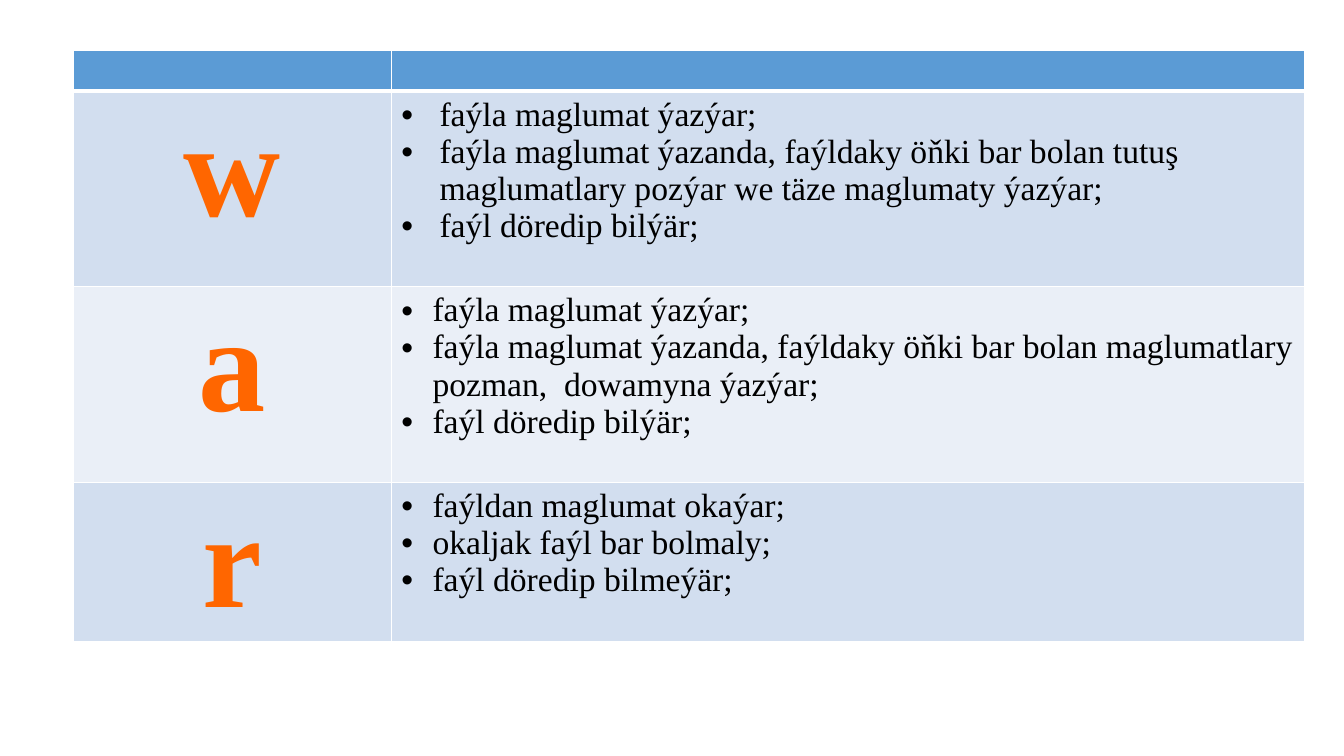
from lxml.etree import SubElement
from pptx import Presentation
from pptx.dml.color import RGBColor as Rgb
from pptx.enum.text import PP_ALIGN as Align
from pptx.oxml.ns import qn
from pptx.util import Inches, Pt

COLORS = {
    "header": "5B9BD5",
    "band_dark": "D2DEEF",
    "band_light": "EAEFF7",
    "border": "FFFFFF",
    "mode": "FF6600",
    "text": "000000",
}
COLUMN_WIDTHS = [3.15, 9.06]
ROW_HEIGHTS = [0.4, 1.94, 1.94, 1.58]

# mode letter, bullet indent in inches, what the mode does
FILE_MODES = [
    ("w", 0.38, [
        "faýla maglumat ýazýar;",
        "faýla maglumat ýazanda, faýldaky öňki bar bolan tutuş "
        "maglumatlary pozýar we täze maglumaty ýazýar;",
        "faýl döredip bilýär;",
    ]),
    ("a", 0.31, [
        "faýla maglumat ýazýar;",
        "faýla maglumat ýazanda, faýldaky öňki bar bolan maglumatlary "
        "pozman,  dowamyna ýazýar;",
        "faýl döredip bilýär;",
    ]),
    ("r", 0.31, [
        "faýldan maglumat okaýar;",
        "okaljak faýl bar bolmaly;",
        "faýl döredip bilmeýär;",
    ]),
]


class Page:
    font = "Times New Roman"

    def __init__(self, deck):
        self.slide = deck.slides.add_slide(deck.slide_layouts[6])

    def table(self, left, top, widths, heights):
        frame = self.slide.shapes.add_table(
            len(heights), len(widths), Inches(left), Inches(top),
            Inches(sum(widths)), Inches(sum(heights)))
        table = frame.table
        for column, width in zip(table.columns, widths):
            column.width = Inches(width)
        for row, height in zip(table.rows, heights):
            row.height = Inches(height)
        return table

    def paint(self, cell, color, top=1, bottom=1):
        """Fill a cell and draw its borders, widths in points."""
        props = cell._tc.get_or_add_tcPr()
        for side, width in zip("LRTB", (1, 1, top, bottom)):
            line = SubElement(props, qn(f"a:ln{side}"), w=str(Pt(width)))
            fill = SubElement(line, qn("a:solidFill"))
            SubElement(fill, qn("a:srgbClr"), val=COLORS["border"])
        cell.fill.solid()
        cell.fill.fore_color.rgb = Rgb.from_string(COLORS[color])

    def style(self, para, size, color, bold=False):
        font = para.font
        font.name, font.size, font.bold = self.font, Pt(size), bold
        font.color.rgb = Rgb.from_string(COLORS[color])

    def mode_letter(self, cell, letter):
        cell.text = letter
        para = cell.text_frame.paragraphs[0]
        para.alignment = Align.CENTER
        self.style(para, 96, "mode", bold=True)

    def bullets(self, cell, lines, indent):
        cell.text = "\n".join(lines)
        for para in cell.text_frame.paragraphs:
            props = para._p.get_or_add_pPr()
            props.set("marL", str(Inches(indent)))
            props.set("indent", str(-Inches(indent)))
            SubElement(props, qn("a:buFont"), typeface="Arial")
            SubElement(props, qn("a:buChar"), char="•")
            self.style(para, 24, "text")


def main():
    deck = Presentation()
    deck.slide_width, deck.slide_height = Inches(13.33), Inches(7.5)
    page = Page(deck)
    table = page.table(0.73, 0.5, COLUMN_WIDTHS, ROW_HEIGHTS)

    for cell in table.rows[0].cells:
        page.paint(cell, "header", bottom=3)
    for number, (letter, indent, lines) in enumerate(FILE_MODES, 1):
        mode_cell, rule_cell = table.rows[number].cells
        for cell in (mode_cell, rule_cell):
            page.paint(cell, "band_dark" if number % 2 else "band_light",
                       top=3 if number == 1 else 1)
        page.mode_letter(mode_cell, letter)
        page.bullets(rule_cell, lines, indent)

    deck.save("out.pptx")


if __name__ == "__main__":
    main()
